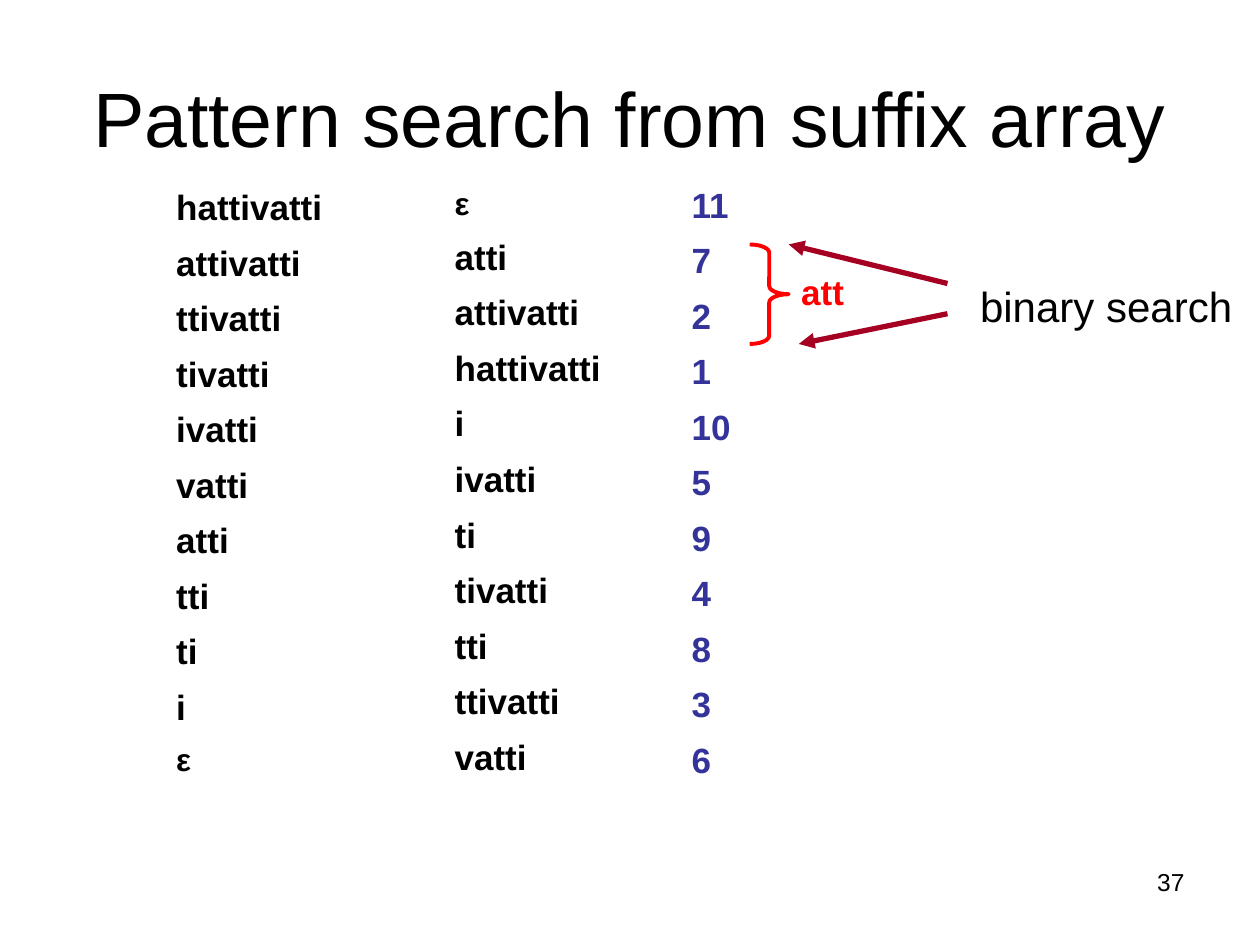
"""Build a slide showing pattern search in the suffix array of a word."""
from lxml.etree import SubElement
from pptx import Presentation
from pptx.dml.color import RGBColor
from pptx.enum.shapes import MSO_CONNECTOR, MSO_SHAPE
from pptx.enum.text import MSO_ANCHOR, MSO_AUTO_SIZE, PP_ALIGN
from pptx.oxml.ns import qn
from pptx.util import Inches, Pt

BLACK = RGBColor(0x00, 0x00, 0x00)
INDIGO = RGBColor(0x33, 0x33, 0x99)
RED = RGBColor(0xFF, 0x00, 0x00)
CRIMSON = RGBColor(0xA5, 0x00, 0x21)
WORD = "hattivatti"
EMPTY = "ε"


def write(box, lines, size=20, bold=False, color=BLACK, align=PP_ALIGN.LEFT,
          spacing=None, before=0, fit=MSO_AUTO_SIZE.SHAPE_TO_FIT_TEXT):
    frame = box.text_frame
    frame.word_wrap = True
    frame.auto_size = fit
    for index, line in enumerate(lines):
        para = frame.paragraphs[0] if index == 0 else frame.add_paragraph()
        points = 18 if line == EMPTY else size
        para.alignment = align
        para.line_spacing = spacing
        para.space_before = Pt(before * points)
        span = para.add_run()
        span.text = line
        span.font.name = "Arial"
        span.font.size = Pt(points)
        span.font.bold = bold
        span.font.color.rgb = color


deck = Presentation()
deck.slide_width, deck.slide_height = Inches(10), Inches(7.5)
page = deck.slides.add_slide(deck.slide_layouts[5])

title = page.shapes.title
title.left, title.top = Inches(0.5), Inches(0.3)
title.width, title.height = Inches(9), Inches(1.25)
title.text_frame.vertical_anchor = MSO_ANCHOR.MIDDLE
write(title, ["Pattern search from suffix array"], size=44,
      align=PP_ALIGN.CENTER, fit=MSO_AUTO_SIZE.NONE)

starts = range(len(WORD) + 1)
ranking = sorted(starts, key=lambda start: WORD[start:])
suffixes = [WORD[start:] or EMPTY for start in starts]
sorted_suffixes = [suffixes[start] for start in ranking]
positions = [str(start + 1) for start in ranking]

columns = [
    (1.3, 1.49, 4.73, suffixes, BLACK),
    (3.51, 1.47, 4.75, sorted_suffixes, BLACK),
    (5.39, 1.47, 4.78, positions, INDIGO),
]
for left, top, height, lines, color in columns:
    column = page.shapes.add_textbox(Inches(left), Inches(top), Inches(1.65), Inches(height))
    write(column, lines, bold=True, color=color, spacing=0.8, before=0.625)

brace = page.shapes.add_shape(
    MSO_SHAPE.RIGHT_BRACE, Inches(5.95), Inches(1.94), Inches(0.31), Inches(0.79))
brace.shadow.inherit = False
brace.fill.background()
brace.line.color.rgb = RED
brace.line.width = Pt(2.25)
brace.adjustments[0] = 0.21

pattern = page.shapes.add_textbox(Inches(6.26), Inches(2.1), Inches(1.18), Inches(0.44))
write(pattern, ["att"], bold=True, color=RED, before=0.625)

method = page.shapes.add_textbox(Inches(7.68), Inches(2.18), Inches(2.32), Inches(0.5))
write(method, ["binary search"], size=24, before=0.625)

for start_y, end_x, end_y in [(2.25, 6.26, 1.94), (2.49, 6.34, 2.73)]:
    arrow = page.shapes.add_connector(
        MSO_CONNECTOR.STRAIGHT, Inches(7.52), Inches(start_y), Inches(end_x), Inches(end_y))
    arrow.line.color.rgb = CRIMSON
    arrow.line.width = Pt(3)
    SubElement(arrow.line._get_or_add_ln(), qn("a:tailEnd"), type="triangle")
    SubElement(arrow._element.spPr, qn("a:effectLst"))

number = page.shapes.add_textbox(Inches(7.17), Inches(6.83), Inches(2.33), Inches(0.52))
write(number, ["37"], size=14, align=PP_ALIGN.RIGHT, fit=MSO_AUTO_SIZE.NONE)

deck.save("out.pptx")
